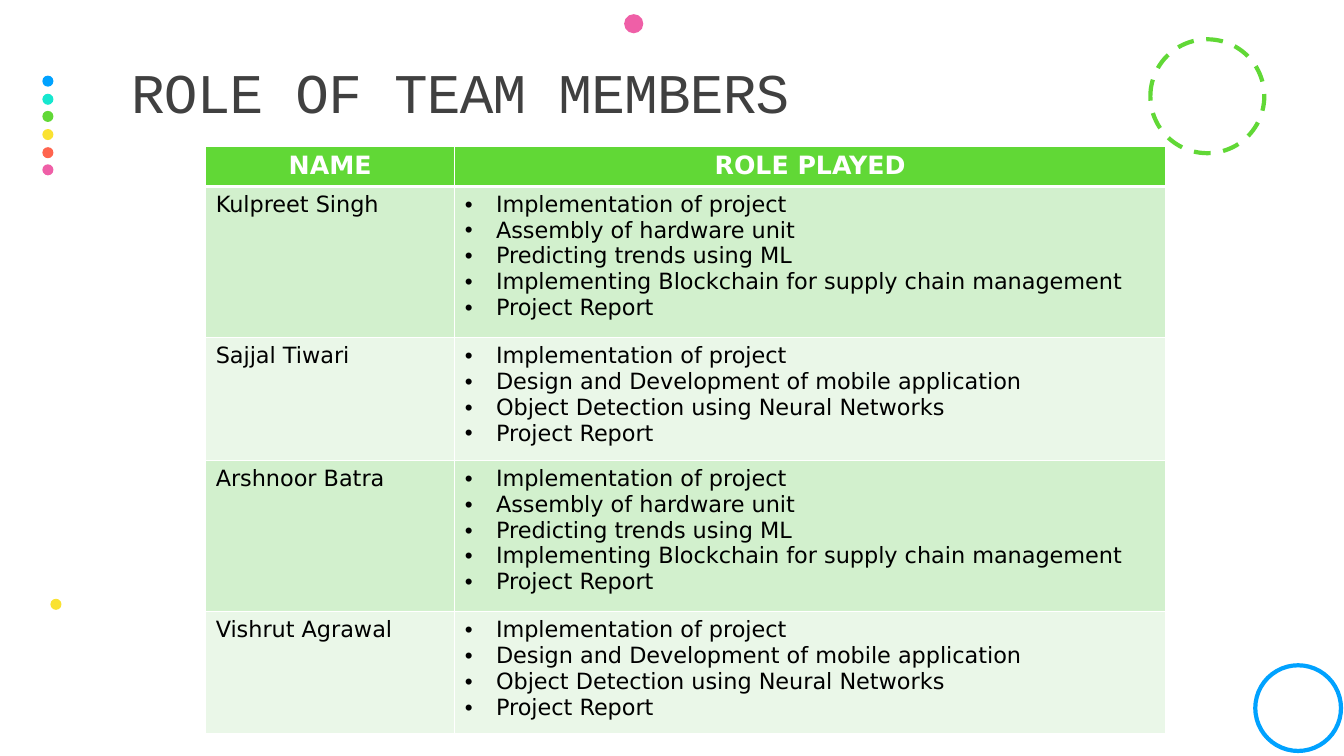
from lxml import etree
from pptx import Presentation
from pptx import util as u
from pptx.dml.color import RGBColor
from pptx.enum import dml, shapes, text
from pptx.oxml.ns import qn

PX = 9144  # EMU per px, 100 px to the inch
COLORS = {
    "blue": "00A2FF", "teal": "16E7CF", "green": "61D836",
    "yellow": "FAE232", "coral": "FF644E", "pink": "EF5FA7",
    "title": "404040", "black": "000000", "white": "FFFFFF",
    "band_dark": "D2F0CD", "band_light": "EAF7E8",
}
FONT = "DejaVu Sans"
HARDWARE = [
    "Implementation of project",
    "Assembly of hardware unit",
    "Predicting trends using ML",
    "Implementing Blockchain for supply chain management",
    "Project Report",
]
MOBILE = [
    "Implementation of project",
    "Design and Development of mobile application",
    "Object Detection using Neural Networks",
    "Project Report",
]
ROWS = [
    ("NAME", ["ROLE PLAYED"], 40),
    ("Kulpreet Singh", HARDWARE, 150),
    ("Sajjal Tiwari", MOBILE, 122),
    ("Arshnoor Batra", HARDWARE, 150),
    ("Vishrut Agrawal", MOBILE, 121),
]
COLUMNS = [247, 705]


def rgb(name):
    return RGBColor.from_string(COLORS[name])


def circle(x, y, size, color, filled=True):
    """Add a filled dot, or a 3 pt ring when filled is False."""
    sp = s.shapes.add_shape(shapes.MSO_SHAPE.OVAL, x * PX, y * PX, size * PX, size * PX)
    sp.shadow.inherit = False
    if filled:
        sp.fill.solid()
        sp.fill.fore_color.rgb = rgb(color)
        sp.line.fill.background()
    else:
        sp.fill.background()
        sp.line.color.rgb = rgb(color)
        sp.line.width = u.Pt(3)
    return sp


prs = Presentation()
prs.slide_width, prs.slide_height = 1333 * PX, 750 * PX
s = prs.slides.add_slide(prs.slide_layouts[5])

# Decorative dots and rings
for i, color in enumerate(["blue", "teal", "green", "yellow", "coral", "pink"]):
    circle(42, 75 + round(i * 17.7), 11, color)
circle(50, 594, 11, "yellow")
circle(619, 14, 19, "pink")
circle(1245, 660, 85, "blue", filled=False)
ring = circle(1141, 39, 113, "green", filled=False)
ring.line.dash_style = dml.MSO_LINE.DASH

# Title
title = s.shapes.title
title.left, title.top, title.width, title.height = 130 * PX, 20 * PX, 1100 * PX, 150 * PX
tf = title.text_frame
tf.text = "ROLE OF TEAM MEMBERS"
tf.word_wrap = True
tf.auto_size = text.MSO_AUTO_SIZE.NONE
tf.vertical_anchor = text.MSO_ANCHOR.MIDDLE
tf.margin_left = tf.margin_right = 0
p = tf.paragraphs[0]
p.alignment = text.PP_ALIGN.LEFT
p.line_spacing = 0.9
p.font.name = "Courier New"
p.font.size = u.Pt(40)
p.font.color.rgb = rgb("title")
p.runs[0].font._element.set("spc", "-50")

# Table of roles
table = s.shapes.add_table(
    len(ROWS), len(COLUMNS), 204 * PX, 145 * PX,
    sum(COLUMNS) * PX, sum(height for _, _, height in ROWS) * PX,
).table
for column, width in zip(table.columns, COLUMNS):
    column.width = width * PX

for i, (name, roles, height) in enumerate(ROWS):
    table.rows[i].height = height * PX
    header = i == 0
    fill = "green" if header else "band_dark" if i % 2 else "band_light"
    for j, lines in enumerate([[name], roles]):
        cell = table.cell(i, j)
        cell.fill.solid()
        cell.fill.fore_color.rgb = rgb(fill)
        cell.text = "\n".join(lines)
        for p in cell.text_frame.paragraphs:
            p.alignment = text.PP_ALIGN.CENTER if header else text.PP_ALIGN.LEFT
            p.font.name = FONT
            p.font.size = u.Pt(18 if header else 16)
            p.font.bold = header
            p.font.color.rgb = rgb("white" if header else "black")
            if j == 1 and not header:
                pPr = p._p.get_or_add_pPr()
                pPr.set("marL", str(31 * PX))
                pPr.set("indent", str(-31 * PX))
                bullet_font = etree.Element(qn("a:buFont"), typeface="Arial")
                bullet = etree.Element(qn("a:buChar"), char="•")
                pPr.insert(0, bullet_font)
                pPr.insert(1, bullet)

        # White borders, thick between the header and the body
        thick = {0: "lnB", 1: "lnT"}.get(i)
        tcPr = cell._tc.get_or_add_tcPr()
        for k, side in enumerate(["lnL", "lnR", "lnT", "lnB"]):
            width = u.Pt(3) if side == thick else u.Pt(0.96)
            ln = etree.Element(qn("a:" + side), w=str(width))
            solid = etree.SubElement(ln, qn("a:solidFill"))
            etree.SubElement(solid, qn("a:srgbClr"), val=COLORS["white"])
            tcPr.insert(k, ln)

prs.save("out.pptx")
